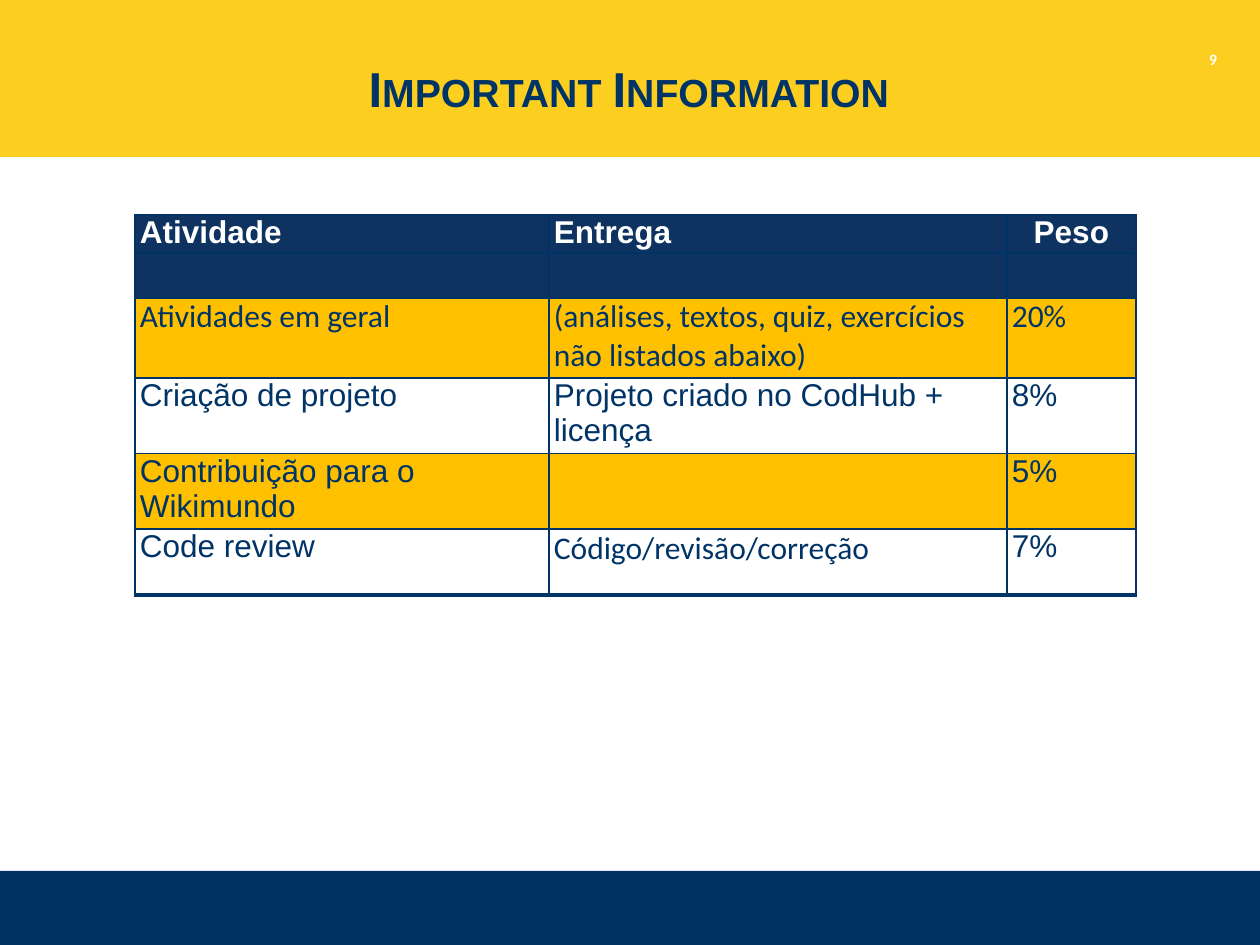
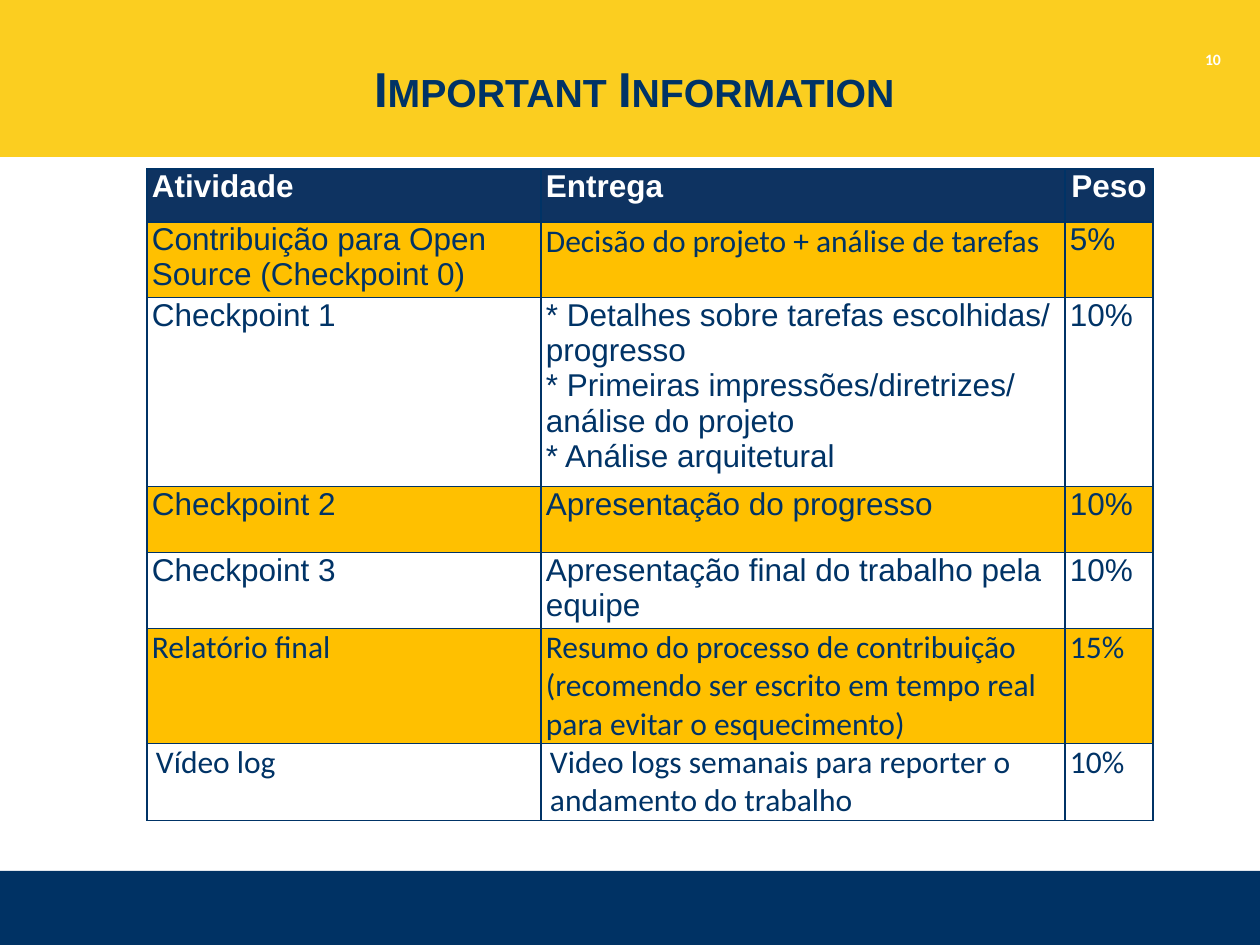
import collections
import pptx
import pptx.util
import pptx.dml.color
import pptx.enum.shapes
import pptx.enum.text
import pptx.oxml

HUES = {"navy": "003264", "gold": "FBCE20", "ink": "003366",
        "head": "0E3361", "band": "FFC000", "white": "FFFFFF"}
WIDE, HIGH = 1260, 945
ALIGN = pptx.enum.text.PP_ALIGN
ANCHOR = pptx.enum.text.MSO_ANCHOR
Cell = collections.namedtuple("Cell", "text face inset", defaults=("Arial", 5))
Row = collections.namedtuple("Row", "high fill cells")


def px(count):
    return pptx.util.Emu(round(count * 914400 / 126))


def hue(name):
    return pptx.dml.color.RGBColor.from_string(HUES[name])


def cal(text, inset=5):
    """Cell set in Calibri."""
    return Cell(text, "Calibri", inset)


def write(para, text, face, size, color, bold=False):
    run = para.add_run()
    run.text = text
    run.font.name = face
    run.font.size = pptx.util.Pt(size)
    run.font.bold = bold
    run.font.color.rgb = hue(color)
    return run


def draw_band(slide, top, high, color):
    kind = pptx.enum.shapes.MSO_SHAPE.RECTANGLE
    band = slide.shapes.add_shape(kind, 0, px(top), px(WIDE), px(high))
    band.shadow.inherit = False
    band.fill.solid()
    band.fill.fore_color.rgb = hue(color)
    band.line.fill.background()


def draw_label(slide, box, text, face, size, color, anchor):
    frame = slide.shapes.add_textbox(*map(px, box)).text_frame
    frame.word_wrap = True
    frame.vertical_anchor = anchor
    para = frame.paragraphs[0]
    para.alignment = ALIGN.CENTER
    return write(para, text, face, size, color, True)


def draw_frame(slide, title, page):
    """Bands, title and page number shared by the slides."""
    draw_band(slide, 871, HIGH - 871, "navy")
    draw_band(slide, 0, 157, "gold")
    run = draw_label(slide, (62, 20, 1145, 136), title, "Arial", 28, "ink",
                     ANCHOR.MIDDLE)
    run.font._element.set("cap", "small")
    draw_label(slide, (1166, 44, 94, 44), str(page), "Calibri", 9, "white",
               ANCHOR.TOP)


def edge(cell, side, points):
    line = pptx.oxml.parse_xml(
        '<a:ln%s xmlns:a="http://schemas.openxmlformats.org/drawingml/2006/main"'
        ' w="%d"><a:solidFill><a:srgbClr val="%s"/></a:solidFill></a:ln%s>'
        % (side, pptx.util.Pt(points), HUES["ink"], side))
    cell._tc.get_or_add_tcPr().append(line)


def fill_cell(cell, data, fill, base, center):
    cell.margin_left = cell.margin_right = px(data.inset)
    cell.margin_top = cell.margin_bottom = 0
    for side in "LRT":
        edge(cell, side, 1)
    edge(cell, "B", base)
    if fill:
        cell.fill.solid()
        cell.fill.fore_color.rgb = hue(fill)
    else:
        cell.fill.background()
    if not data.text:
        return
    frame = cell.text_frame
    head = fill == "head"
    for nth, text in enumerate(data.text.split("\n")):
        para = frame.add_paragraph() if nth else frame.paragraphs[0]
        para.alignment = ALIGN.CENTER if center else ALIGN.LEFT
        write(para, text, data.face, 18, "white" if head else "ink", head)


def draw_table(slide, left, top, cols, rows, base=1):
    """Grid of weights; base is the width of its bottom line."""
    high = sum(row.high for row in rows)
    table = slide.shapes.add_table(len(rows), len(cols), px(left), px(top),
                                   px(sum(cols)), px(high)).table
    table.first_row = table.horz_banding = False
    for col, wide in zip(table.columns, cols):
        col.width = px(wide)
    for i, row in enumerate(rows):
        table.rows[i].height = px(row.high)
        for j, data in enumerate(row.cells):
            center = row.fill == "head" and j == len(cols) - 1
            fill_cell(table.cell(i, j), data, row.fill,
                      base if row is rows[-1] else 1, center)


def head_row(high):
    return Row(high, "head", [Cell("Atividade"), Cell("Entrega"), Cell("Peso")])


TASKS = [
    head_row(36),
    Row(45, "head", [Cell("")] * 3),
    Row(80, "band", [cal("Atividades em geral"),
                     cal("(análises, textos, quiz, exercícios não listados abaixo)"),
                     cal("20%")]),
    Row(70, None, [Cell("Criação de projeto"),
                   Cell("Projeto criado no CodHub + licença"), Cell("8%")]),
    Row(70, "band", [Cell("Contribuição para o Wikimundo"), Cell(""), Cell("5%")]),
    Row(66, None, [Cell("Code review"), cal("Código/revisão/correção"), Cell("7%")]),
]
CHECKS = [
    head_row(53),
    Row(71, "band", [Cell("Contribuição para Open Source (Checkpoint 0)"),
                     cal("Decisão do projeto + análise de tarefas"), Cell("5%")]),
    Row(176, None, [Cell("Checkpoint 1"),
                    Cell("* Detalhes sobre tarefas escolhidas/ progresso\n"
                         "* Primeiras impressões/diretrizes/ análise do projeto\n"
                         "* Análise arquitetural"), Cell("10%")]),
    Row(66, "band", [Cell("Checkpoint 2"), Cell("Apresentação do progresso"),
                     Cell("10%")]),
    Row(71, None, [Cell("Checkpoint 3"),
                   Cell("Apresentação final do trabalho pela equipe"), Cell("10%")]),
    Row(115, "band", [cal("Relatório final"),
                      cal("Resumo do processo de contribuição (recomendo ser escrito "
                          "em tempo real para evitar o esquecimento)"), cal("15%")]),
    Row(77, None, [cal("Vídeo log", 9),
                   cal("Video logs semanais para reporter o andamento do trabalho", 9),
                   cal("10%")]),
]


def main():
    deck = pptx.Presentation()
    deck.slide_width, deck.slide_height = px(WIDE), px(HIGH)
    blank = deck.slide_layouts[6]

    tasks = deck.slides.add_slide(blank)
    draw_frame(tasks, "Important Information ", 9)
    draw_table(tasks, 135, 215, (414, 458, 129), TASKS, 2.25)

    checks = deck.slides.add_slide(blank)
    draw_frame(checks, "Important Information", 10)
    draw_table(checks, 147, 169, (394, 524, 88), CHECKS)

    deck.save("out.pptx")


if __name__ == "__main__":
    main()
